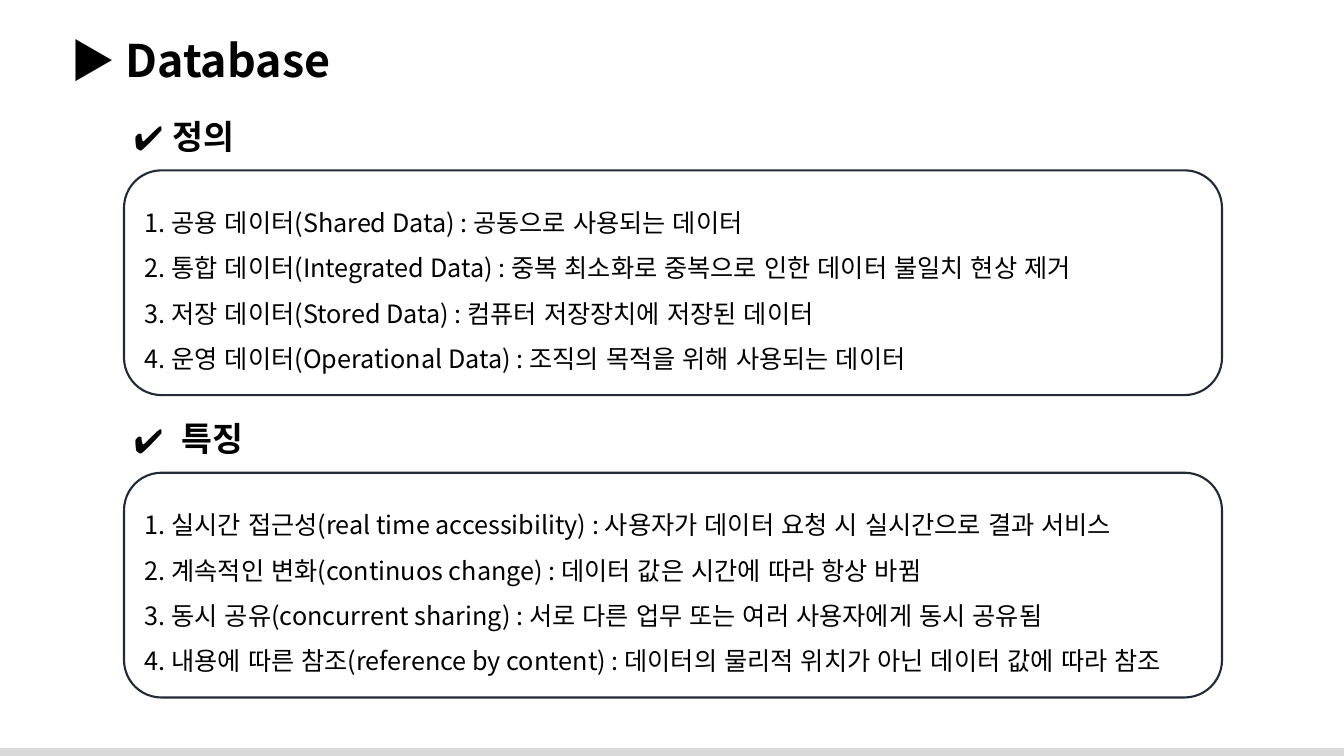
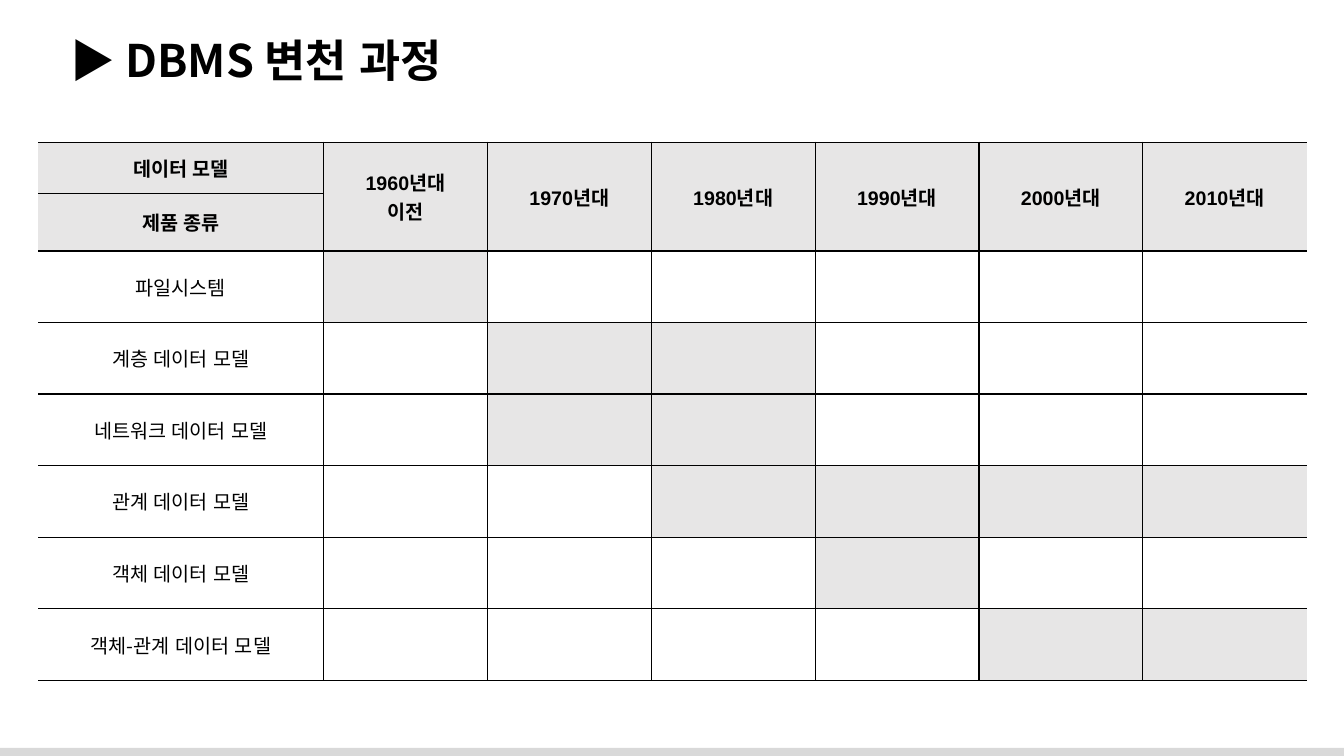
from dataclasses import dataclass

import lxml.etree
import pptx
import pptx.dml.color
import pptx.enum.lang
import pptx.enum.shapes
import pptx.enum.text
import pptx.oxml.ns
import pptx.presentation
import pptx.shapes.autoshape
import pptx.slide
import pptx.table
import pptx.text.text
import pptx.util

Inches = pptx.util.Inches
qn = pptx.oxml.ns.qn


# Shared look
@dataclass(frozen=True)
class Theme:
    font: str = "Noto Sans CJK KR"
    table_font: str = "Arial"
    ink: str = "000000"
    paper: str = "FFFFFF"
    band: str = "D9D9D9"
    outline: str = "222A35"
    shade: str = "E7E6E6"
    title_size: int = 32
    heading_size: int = 24
    body_size: int = 18
    table_size: int = 14


THEME = Theme()


@dataclass(frozen=True)
class Section:
    heading: str
    top: float
    width: float
    lines: tuple[str, ...]


@dataclass(frozen=True)
class Model:
    name: str
    first: int  # first and last decade column in use
    last: int


SECTIONS = (
    Section("정의", 1.1, 1.25, (
        "1. 공용 데이터(Shared Data) : 공동으로 사용되는 데이터",
        "2. 통합 데이터(Integrated Data) : 중복 최소화로 중복으로 인한 데이터 불일치 현상 제거",
        "3. 저장 데이터(Stored Data) : 컴퓨터 저장장치에 저장된 데이터",
        "4. 운영 데이터(Operational Data) : 조직의 목적을 위해 사용되는 데이터",
    )),
    Section(" 특징", 4.1, 1.37, (
        "1. 실시간 접근성(real time accessibility) : 사용자가 데이터 요청 시 실시간으로 결과 서비스",
        "2. 계속적인 변화(continuos change) : 데이터 값은 시간에 따라 항상 바뀜",
        "3. 동시 공유(concurrent sharing) : 서로 다른 업무 또는 여러 사용자에게 동시 공유됨",
        "4. 내용에 따른 참조(reference by content) : 데이터의 물리적 위치가 아닌 데이터 값에 따라 참조",
    )),
)

DECADES = (("1960년대", "이전"), ("1970년대",), ("1980년대",),
           ("1990년대",), ("2000년대",), ("2010년대",))

MODELS = (
    Model("파일시스템", 1, 1),
    Model("계층 데이터 모델", 2, 3),
    Model("네트워크 데이터 모델", 2, 3),
    Model("관계 데이터 모델", 3, 6),
    Model("객체 데이터 모델", 4, 4),
    Model("객체-관계 데이터 모델", 5, 6),
)


# Text helpers
def rgb(value: str) -> pptx.dml.color.RGBColor:
    return pptx.dml.color.RGBColor.from_string(value)


def add_run(p: pptx.text.text._Paragraph, text: str, size: int,
            bold: bool = False, font: str = THEME.font) -> None:
    r = p.add_run()
    r.text = text
    r.font.size = pptx.util.Pt(size)
    r.font.bold = bold
    r.font.name = font
    r.font.color.rgb = rgb(THEME.ink)
    r.font.language_id = pptx.enum.lang.MSO_LANGUAGE_ID.KOREAN
    ea = lxml.etree.SubElement(r.font._element, qn("a:ea"))
    ea.set("typeface", THEME.font)


def add_label(s: pptx.slide.Slide, left: float, top: float, width: float,
              height: float, text: str, size: int) -> pptx.text.text._Paragraph:
    tf = s.shapes.add_textbox(Inches(left), Inches(top),
                              Inches(width), Inches(height)).text_frame
    tf.word_wrap = True
    tf.auto_size = pptx.enum.text.MSO_AUTO_SIZE.SHAPE_TO_FIT_TEXT
    p = tf.paragraphs[0]
    add_run(p, text, size, bold=True)
    return p


def set_check_bullet(p: pptx.text.text._Paragraph) -> None:
    ppr = p._p.get_or_add_pPr()
    indent = Inches(0.38)
    ppr.set("marL", str(indent))
    ppr.set("indent", str(-indent))
    color = lxml.etree.SubElement(ppr, qn("a:buClr"))
    lxml.etree.SubElement(color, qn("a:srgbClr")).set("val", THEME.ink)
    lxml.etree.SubElement(ppr, qn("a:buFont")).set("typeface", THEME.font)
    lxml.etree.SubElement(ppr, qn("a:buChar")).set("char", "✔")


# Slide frame: footer band and title
def add_slide(prs: pptx.presentation.Presentation, title: str) -> pptx.slide.Slide:
    s = prs.slides.add_slide(prs.slide_layouts[6])
    band = s.shapes.add_shape(pptx.enum.shapes.MSO_SHAPE.RECTANGLE, Inches(-0.03),
                              Inches(7.42), Inches(13.39), Inches(0.11))
    band.shadow.inherit = False
    band.fill.solid()
    band.fill.fore_color.rgb = rgb(THEME.band)
    band.line.fill.background()
    add_label(s, 0.6, 0.28, 12.6, 0.64, f"▶ {title}", THEME.title_size)
    return s


# Heading with its rounded box
def add_section(s: pptx.slide.Slide, section: Section) -> None:
    left = 1.23
    set_check_bullet(add_label(s, left, section.top, section.width, 0.5,
                               section.heading, THEME.heading_size))
    sp = s.shapes.add_shape(pptx.enum.shapes.MSO_SHAPE.ROUNDED_RECTANGLE, Inches(left),
                            Inches(section.top + 0.59), Inches(10.89), Inches(2.23))
    sp.shadow.inherit = False
    sp.fill.background()
    sp.line.color.rgb = rgb(THEME.outline)
    sp.line.width = pptx.util.Pt(1.5)
    tf = sp.text_frame
    tf.word_wrap = True
    tf.vertical_anchor = pptx.enum.text.MSO_ANCHOR.MIDDLE
    for i, line in enumerate(section.lines):
        p = tf.add_paragraph() if i else tf.paragraphs[0]
        p.alignment = pptx.enum.text.PP_ALIGN.LEFT
        p.line_spacing = 1.5
        add_run(p, line, THEME.body_size)


# Table cells
def style_cell(cell: pptx.table._Cell, shaded: bool,
               left_line: bool, right_line: bool) -> None:
    tcpr = cell._tc.get_or_add_tcPr()
    sides = {"a:lnL": left_line, "a:lnR": right_line, "a:lnT": True, "a:lnB": True}
    for tag, visible in sides.items():
        ln = lxml.etree.SubElement(tcpr, qn(tag))
        ln.set("w", str(pptx.util.Pt(1)))
        if visible:
            fill = lxml.etree.SubElement(ln, qn("a:solidFill"))
            lxml.etree.SubElement(fill, qn("a:srgbClr")).set("val", THEME.ink)
        else:
            lxml.etree.SubElement(ln, qn("a:noFill"))
    cell.fill.solid()
    cell.fill.fore_color.rgb = rgb(THEME.shade if shaded else THEME.paper)
    cell.vertical_anchor = pptx.enum.text.MSO_ANCHOR.MIDDLE


def write_cell(cell: pptx.table._Cell, lines: tuple[str, ...],
               bold: bool, font: str) -> None:
    tf = cell.text_frame
    for i, line in enumerate(lines):
        p = tf.add_paragraph() if i else tf.paragraphs[0]
        p.alignment = pptx.enum.text.PP_ALIGN.CENTER
        add_run(p, line, THEME.table_size, bold, font)


# Timeline of data models by decade
def add_timeline(s: pptx.slide.Slide) -> None:
    width, name_width = 12.58, 2.83
    decade_width = (width - name_width) / len(DECADES)
    widths = [name_width] + [decade_width] * len(DECADES)
    heights = [0.51, 0.57] + [0.71] * len(MODELS)
    table = s.shapes.add_table(len(heights), len(widths), Inches(0.38), Inches(1.41),
                               Inches(width), Inches(sum(heights))).table
    table.first_row = False
    table.horz_banding = False
    for column, w in zip(table.columns, widths):
        column.width = Inches(w)
    for row, h in zip(table.rows, heights):
        row.height = Inches(h)

    last_col = len(DECADES)
    for r in range(len(heights)):
        for c in range(len(widths)):
            header = r < 2
            shaded = header or MODELS[r - 2].first <= c <= MODELS[r - 2].last
            style_cell(table.cell(r, c), shaded, c > 0, c < last_col)

    for r, text in enumerate(("데이터 모델", "제품 종류")):
        write_cell(table.cell(r, 0), (text,), True, THEME.table_font)
    for c, lines in enumerate(DECADES, start=1):
        table.cell(0, c).merge(table.cell(1, c))
        write_cell(table.cell(0, c), lines, True, THEME.table_font)
    for r, model in enumerate(MODELS, start=2):
        write_cell(table.cell(r, 0), (model.name,), False, THEME.font)


def main() -> None:
    prs = pptx.Presentation()
    prs.slide_width = Inches(13.33)
    prs.slide_height = Inches(7.5)

    s = add_slide(prs, "Database")
    for section in SECTIONS:
        add_section(s, section)

    add_timeline(add_slide(prs, "DBMS 변천 과정"))
    prs.save("out.pptx")


if __name__ == "__main__":
    main()
